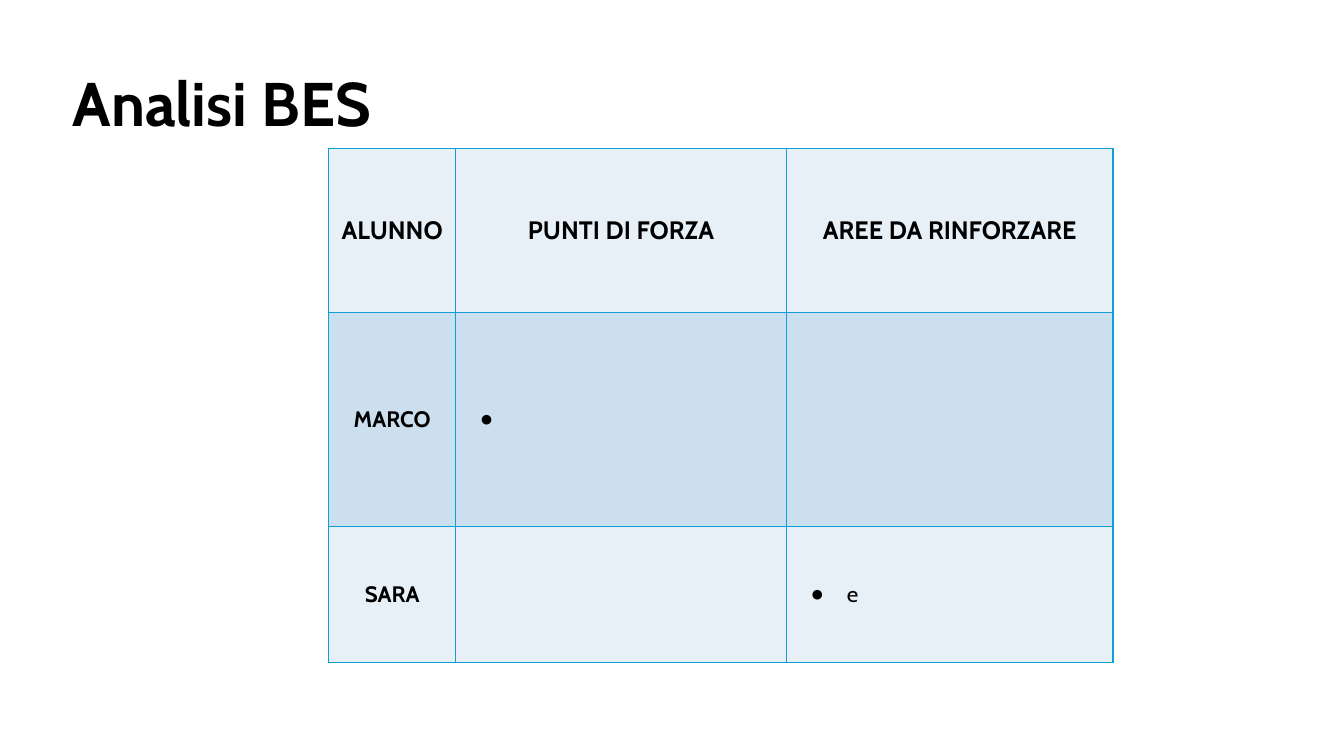
import pptx
import pptx.util
import pptx.dml.color
import pptx.enum.text
import pptx.oxml.ns
from lxml import etree
from pptx.util import Inches

FONT = "Cabin"
COLORS = {"text": "000000", "line": "0F9ED5", "light": "E7F0F7", "dark": "CCDFEF"}
COLS = [1.26, 3.28, 3.24]
ROWS = [1.63, 2.12, 1.35]
CELLS = [
    ["ALUNNO", "PUNTI DI FORZA", "AREE DA RINFORZARE"],
    ["MARCO", " ", ""],
    ["SARA", "", "e"],
]


def color(name):
    return pptx.dml.color.RGBColor.from_string(COLORS[name])


def add_node(parent, tag, **attrs):
    return etree.SubElement(parent, pptx.oxml.ns.qn(tag), attrs)


def style(font, size, bold):
    font.name = FONT
    font.size = pptx.util.Pt(size)
    font.bold = bold
    font.color.rgb = color("text")


def add_title(slide, text):
    title = slide.shapes.title
    title.left, title.top = Inches(0.72), Inches(-0.14)
    title.width, title.height = Inches(8.68), Inches(1.51)
    frame = title.text_frame
    frame.text = text
    frame.word_wrap = True
    frame.vertical_anchor = pptx.enum.text.MSO_ANCHOR.BOTTOM
    frame.margin_left = frame.margin_right = 0
    frame.margin_top = frame.margin_bottom = 0
    para = frame.paragraphs[0]
    para.alignment = pptx.enum.text.PP_ALIGN.LEFT
    para.line_spacing = 0.8
    style(para.runs[0].font, 44, True)


def add_bullet(para):
    props = para._p.get_or_add_pPr()
    props.set("marL", str(Inches(0.5)))
    props.set("indent", str(Inches(-0.36)))
    add_node(props, "a:buFont", typeface="Arial")
    add_node(props, "a:buChar", char="●")


def add_edges(cell):
    props = cell._tc.get_or_add_tcPr()
    for side in ("a:lnL", "a:lnR", "a:lnT", "a:lnB"):
        edge = add_node(props, side, w=str(pptx.util.Pt(1)))
        fill = add_node(edge, "a:solidFill")
        add_node(fill, "a:srgbClr", val=COLORS["line"])


def fill_cell(cell, text, row, col):
    # Borders come before the fill in the cell properties
    add_edges(cell)
    cell.fill.solid()
    cell.fill.fore_color.rgb = color("dark" if row % 2 else "light")
    cell.vertical_anchor = pptx.enum.text.MSO_ANCHOR.MIDDLE
    para = cell.text_frame.paragraphs[0]
    para.text = text
    head = row == 0 or col == 0
    if head:
        para.alignment = pptx.enum.text.PP_ALIGN.CENTER
    elif text:
        add_bullet(para)
    for run in para.runs:
        style(run.font, 18 if row == 0 else 16, head)


def add_grid(slide):
    frame = slide.shapes.add_table(
        len(ROWS), len(COLS), Inches(3.26), Inches(1.47),
        Inches(sum(COLS)), Inches(sum(ROWS)))
    table = frame.table
    for col, width in enumerate(COLS):
        table.columns[col].width = Inches(width)
    for row, height in enumerate(ROWS):
        table.rows[row].height = Inches(height)
        for col, text in enumerate(CELLS[row]):
            fill_cell(table.cell(row, col), text, row, col)


def main():
    deck = pptx.Presentation()
    deck.slide_width, deck.slide_height = Inches(13.33), Inches(7.5)
    slide = deck.slides.add_slide(deck.slide_layouts[5])
    add_title(slide, "Analisi BES")
    add_grid(slide)
    deck.save("out.pptx")


if __name__ == "__main__":
    main()
